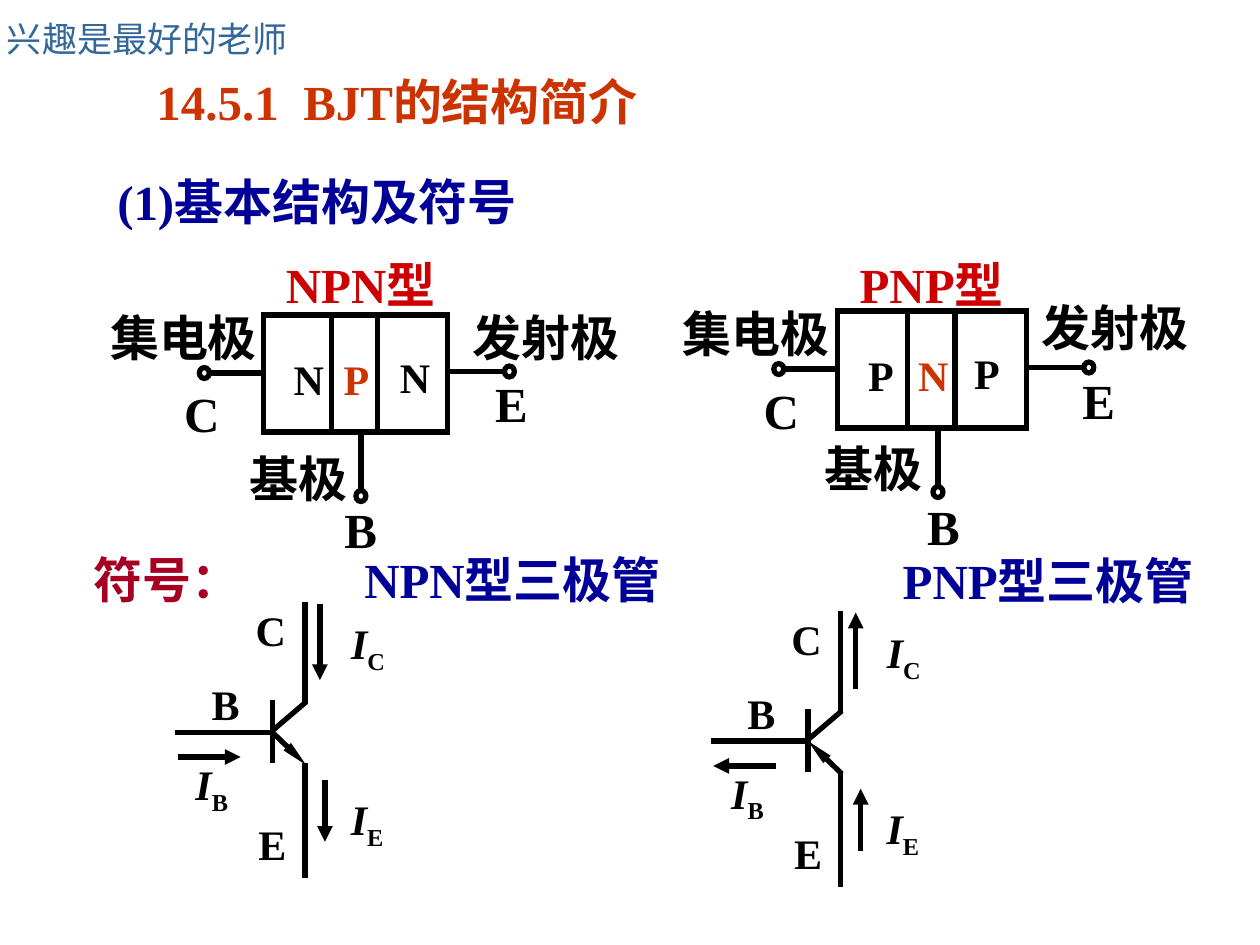
from lxml.etree import SubElement
from pptx import Presentation
from pptx.dml.color import RGBColor
from pptx.enum.shapes import MSO_CONNECTOR, MSO_SHAPE
from pptx.enum.text import MSO_ANCHOR, MSO_AUTO_SIZE, PP_ALIGN
from pptx.oxml.ns import qn
from pptx.util import Cm, Pt

BLACK = RGBColor(0x00, 0x00, 0x00)
BLUE = RGBColor(0x00, 0x00, 0x99)
ORANGE = RGBColor(0xCC, 0x33, 0x00)
RED = RGBColor(0xCC, 0x00, 0x00)
CRIMSON = RGBColor(0xA5, 0x00, 0x21)
STEEL = RGBColor(0x33, 0x66, 0x99)
LATIN, CJK = "Times New Roman", "Noto Sans CJK SC"

ELECTRODES = (("集电极", 3.7), ("发射极", 3.7), ("基极", 2.7),
              ("C", 1.3), ("E", 1.3), ("B", 1.3))
NPN_SPOTS = ((-1.61, -0.28), (5.69, -0.28), (0.7, 2.57),
             (-1.24, 1.24), (5, 1.04), (1.96, 3.58))
PNP_SPOTS = ((-1.65, -0.28), (5.59, -0.41), (0.72, 2.44),
             (-1.14, 1.27), (5.26, 1.07), (2.13, 3.61))
LAYERS = ((0, 0.37, 0.36, 0.65, BLACK), (0.37, 0.25, 1.37, 0.65, ORANGE),
          (0.62, 0.38, 2.5, 0.61, BLACK))
SYMBOL_LEADS = (((0, 2.62), (2.01, 2.62)), ((1.96, 1.98), (1.96, 3.25)),
                ((1.96, 2.59), (2.64, 2.01)), ((2.62, 0), (2.62, 2.06)),
                ((2.62, 3.25), (2.62, 5.56)))
BROAD = {"w": "med", "len": "med"}
SLENDER = {"w": "sm", "len": "lg"}
SYMBOL_ARROWS = (((1.96, 2.62), (2.64, 3.28), SLENDER), ((0.05, 3.12), (1.32, 3.12), BROAD),
                 ((3.02, 3.58), (3.02, 4.83), BROAD), ((2.92, 0.03), (2.92, 1.57), BROAD))
TERMINALS = (("B", 1.02, 1.42), ("E", 1.96, 4.24), ("C", 1.93, -0.08))
CURRENTS = (("B", 0.74, 3.02, 1.3), ("E", 3.87, 3.73, 1.3), ("C", 3.89, 0.18, 1.83))


def style_run(run, size, color, latin=LATIN, bold=True, italic=False):
    """Give a run its font values."""
    values = {"size": Pt(size), "bold": bold, "italic": italic, "name": latin}
    for name, value in values.items():
        setattr(run.font, name, value)
    run.font.color.rgb = color
    SubElement(run._r.get_or_add_rPr(), qn("a:ea"), typeface=CJK)


def add_label(slide, text, box, size, color, subscript="", **options):
    """Place a text box at left, top, width, height in centimetres."""
    label = slide.shapes.add_textbox(*map(Cm, box))
    frame = label.text_frame
    margin = Cm(options.get("margin", 0.25))
    values = {"word_wrap": options.get("wrap", False),
              "vertical_anchor": options.get("anchor", MSO_ANCHOR.MIDDLE),
              "margin_left": margin, "margin_right": margin}
    for name, value in values.items():
        setattr(frame, name, value)
    paragraph = frame.paragraphs[0]
    paragraph.alignment = options.get("align", PP_ALIGN.CENTER)
    run = paragraph.add_run()
    run.text = text
    style_run(run, size, color, options.get("latin", LATIN),
              options.get("bold", True), bool(subscript))
    if subscript:
        lower = paragraph.add_run()
        lower.text = subscript
        style_run(lower, size, color)
        lower._r.get_or_add_rPr().set("baseline", "-25000")


def add_wire(slide, origin, start, end, arrowhead=None):
    """Draw a line between two points measured from the origin."""
    points = [Cm(base + step) for point in (start, end) for base, step in zip(origin, point)]
    wire = slide.shapes.add_connector(MSO_CONNECTOR.STRAIGHT, *points)
    wire.line.color.rgb = BLACK
    wire.line.width = Pt(3)
    properties = wire._element.spPr
    if arrowhead:
        SubElement(properties.get_or_add_ln(), qn("a:tailEnd"), type="triangle", **arrowhead)
    SubElement(properties, qn("a:effectLst"))


def add_outline(slide, kind, box):
    """Draw an unfilled preset shape with a mitred black outline."""
    outline = slide.shapes.add_shape(kind, *map(Cm, box))
    outline.shadow.inherit = False
    outline.fill.background()
    outline.line.color.rgb = BLACK
    outline.line.width = Pt(3)
    SubElement(outline._element.spPr.get_or_add_ln(), qn("a:miter"), lim="800000")


def fill_heading(placeholder, words, box, color):
    """Move a placeholder and write its words on one line with wide gaps."""
    for name, value in zip(("left", "top", "width", "height"), map(Cm, box)):
        setattr(placeholder, name, value)
    frame = placeholder.text_frame
    values = {"word_wrap": True, "auto_size": MSO_AUTO_SIZE.NONE,
              "vertical_anchor": MSO_ANCHOR.TOP}
    for name, value in values.items():
        setattr(frame, name, value)
    paragraph = frame.paragraphs[0]
    properties = paragraph._p.get_or_add_pPr()
    properties.set("marL", "0")
    properties.set("indent", "0")
    paragraph.alignment = PP_ALIGN.LEFT
    paragraph.space_before = Pt(0)
    SubElement(properties, qn("a:buNone"))
    for index, word in enumerate(words):
        if index:
            gap = paragraph.add_run()
            gap.text = " "
            style_run(gap, 28, color)
            gap._r.get_or_add_rPr().set("spc", "700")
        run = paragraph.add_run()
        run.text = word
        style_run(run, 28, color)


def add_structure(slide, box, kind, kind_spot, spots):
    """Draw the three-layer structure with its terminals around the box."""
    left, top, width, height = box
    for layer, (start, share, inset, drop, color) in zip(kind, LAYERS):
        add_outline(slide, MSO_SHAPE.RECTANGLE,
                    (left + start * width, top, share * width, height))
        add_label(slide, layer, (left + inset, top + drop, 0.95, 1.27), 24, color, wrap=True)
    base = 0.53 * width
    terminals = (((0, 1.17), (-1.09, 1.17), (-1.19, 1.17)),
                 ((width, 1.14), (width + 1.15, 1.14), (width + 1.25, 1.14)),
                 ((base, height), (base, height + 1.2), (base, height + 1.29)))
    for start, end, (x, y) in terminals:
        add_wire(slide, (left, top), start, end)
        add_outline(slide, MSO_SHAPE.OVAL, (left + x - 0.1, top + y - 0.11, 0.2, 0.22))
    for (text, span), (x, y) in zip(ELECTRODES, spots):
        add_label(slide, text, (left + x - span / 2, top + y, span, 1.45), 28, BLACK)
    x, y = kind_spot
    add_label(slide, f"{kind}型", (left + x - 2.1, top + y, 4.2, 1.45), 28, RED)


def add_symbol(slide, origin, kind, caption_top, outward):
    """Draw the circuit symbol, with currents reversed when outward is set."""
    left, top = origin
    for start, end in SYMBOL_LEADS:
        add_wire(slide, origin, start, end)
    for start, end, arrowhead in SYMBOL_ARROWS:
        ends = (end, start) if outward else (start, end)
        add_wire(slide, origin, *ends, arrowhead)
    for text, x, y in TERMINALS:
        add_label(slide, text, (left + x - 0.6, top + y, 1.2, 1.27), 24, BLACK)
    for terminal, x, y, span in CURRENTS:
        add_label(slide, "I", (left + x - span / 2, top + y, span, 1.42), 24, BLACK, terminal)
    add_label(slide, f"{kind}型三极管", (left + 3.2, top + caption_top, 7.2, 1.45), 28, BLUE)


def add_headings(slide):
    """Write the motto, the title, the section line and the symbol heading."""
    add_label(slide, "兴趣是最好的老师", (0.02, 0.23, 5.9, 0.81), 20, STEEL,
              latin=CJK, bold=False, anchor=MSO_ANCHOR.TOP, margin=0)
    title, body = slide.placeholders
    fill_heading(title, ("14.5.1", "BJT的结构简介"), (2.9, 1.32, 16.08, 1.47), ORANGE)
    fill_heading(body, ("(1)基本结构及符号",), (2.11, 3.33, 13.84, 1.7), BLUE)
    add_label(slide, "符号：", (1.63, 10.95, 3.61, 1.45), 28, CRIMSON,
              wrap=True, align=PP_ALIGN.LEFT)


def main():
    """Build the slide and save it."""
    deck = Presentation()
    deck.slide_width, deck.slide_height = Cm(25.4), Cm(19.05)
    slide = deck.slides.add_slide(deck.slide_layouts[1])
    add_headings(slide)
    add_structure(slide, (5.31, 6.35, 3.71, 2.36), "NPN", (1.96, -1.35), NPN_SPOTS)
    add_structure(slide, (16.89, 6.27, 3.81, 2.36), "PNP", (1.89, -1.27), PNP_SPOTS)
    add_symbol(slide, (3.53, 12.14), "NPN", -1.19, outward=False)
    add_symbol(slide, (14.33, 12.32), "PNP", -1.35, outward=True)
    deck.save("out.pptx")


if __name__ == "__main__":
    main()
